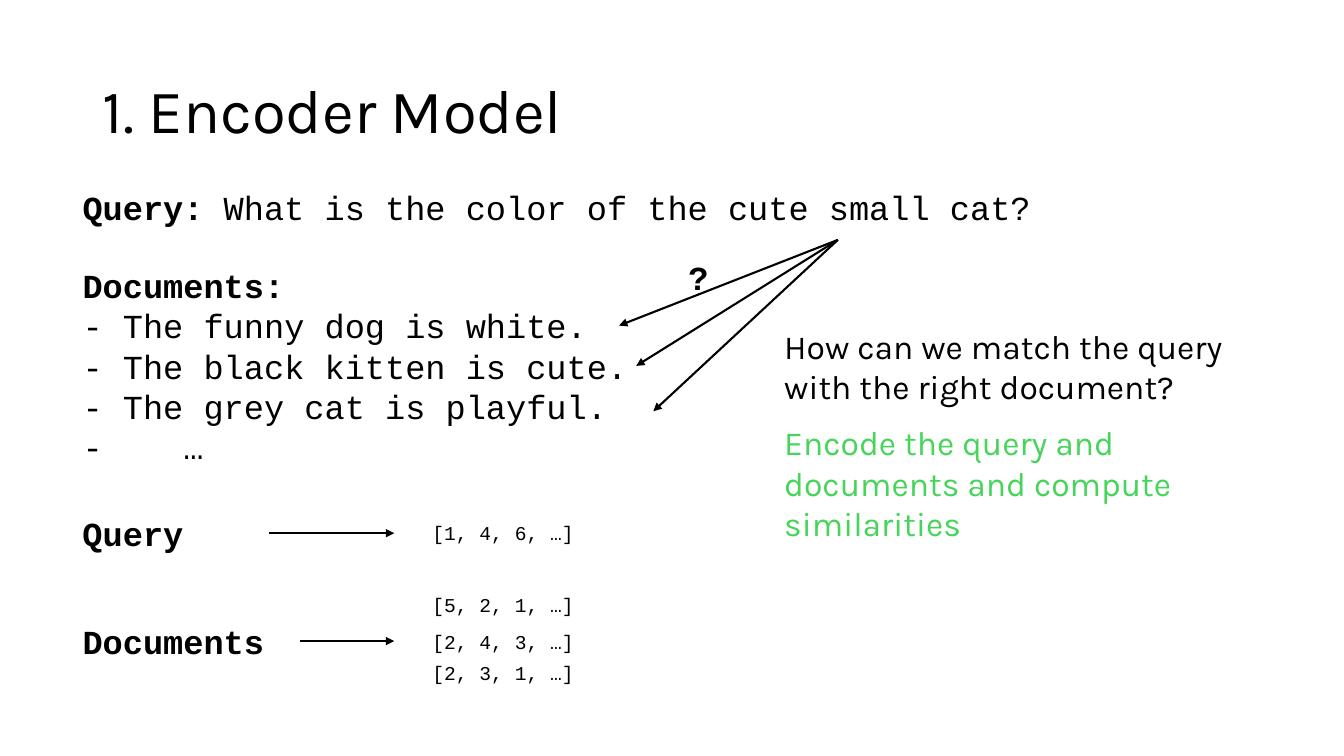
from lxml.etree import SubElement
from pptx import Presentation
from pptx.dml.color import RGBColor
from pptx.enum.shapes import MSO_CONNECTOR
from pptx.enum.text import MSO_ANCHOR, MSO_AUTO_SIZE, PP_ALIGN
from pptx.oxml.ns import qn
from pptx.util import Pt

PX = 9144
BLACK = RGBColor(0x00, 0x00, 0x00)
GREEN = RGBColor(0x47, 0xD4, 0x5A)
MONO = "Courier New"
SANS = "Karla"


class EncoderSlide:
    def __init__(self, deck):
        self.slide = deck.slides.add_slide(deck.slide_layouts[5])

    def place(self, shape, left, top, width, height):
        shape.left, shape.top = left * PX, top * PX
        shape.width, shape.height = width * PX, height * PX

    def style(self, paragraph, size, face, color=BLACK, bold=False):
        font = paragraph.font
        font.size, font.name, font.bold = Pt(size), face, bold
        font.color.rgb = color

    def title(self, text, left, top, width, height):
        heading = self.slide.shapes.title
        self.place(heading, left, top, width, height)
        frame = heading.text_frame
        frame.text = text
        frame.auto_size = MSO_AUTO_SIZE.NONE
        frame.vertical_anchor = MSO_ANCHOR.MIDDLE
        paragraph = frame.paragraphs[0]
        paragraph.alignment = PP_ALIGN.LEFT
        paragraph.line_spacing = 0.9
        self.style(paragraph, 44, SANS)

    def text(self, lines, left, top, width, height, size=24, face=MONO,
             color=BLACK, bold_lines=0):
        box = self.slide.shapes.add_textbox(0, 0, 0, 0)
        self.place(box, left, top, width, height)
        frame = box.text_frame
        frame.word_wrap = True
        frame.text = "\n".join(lines)
        frame.auto_size = MSO_AUTO_SIZE.SHAPE_TO_FIT_TEXT
        for index, paragraph in enumerate(frame.paragraphs):
            self.style(paragraph, size, face, color, index < bold_lines)
        return frame

    def label(self, text, left, top, width):
        return self.text([text], left, top, width, 50, bold_lines=1)

    def vector(self, text, top, width):
        self.text([text], 419, top, width, 34, size=14)

    def arrow(self, start, end):
        ends = [value * PX for value in (*start, *end)]
        line = self.slide.shapes.add_connector(MSO_CONNECTOR.STRAIGHT, *ends)
        line.line.color.rgb = BLACK
        line.line.width = Pt(1.5)
        SubElement(line.line._get_or_add_ln(), qn("a:tailEnd"), type="triangle")
        SubElement(line._element.spPr, qn("a:effectLst"))


def main():
    deck = Presentation()
    deck.slide_width, deck.slide_height = 1333 * PX, 750 * PX
    page = EncoderSlide(deck)

    page.title("1. Encoder Model", 92, 40, 1150, 145)
    query = page.label("Query: ", 72, 181, 1019).paragraphs[0]
    question = query.add_run()
    question.text = "What is the color of the cute small cat?"
    question.font.bold = False
    page.text(["Documents:", "- The funny dog is white.",
               "- The black kitten is cute.", "- The grey cat is playful.",
               "-\t\t…"], 72, 258, 648, 212, bold_lines=1)

    for document_end in ((614, 323), (631, 363), (648, 408)):
        page.arrow((831, 238), document_end)
    page.label("?", 673, 250, 58)

    page.text(["How can we match the query with the right document?"],
              768, 318, 527, 91, face=SANS)
    page.text(["Encode the query and documents and compute similarities"],
              768, 414, 527, 91, face=SANS, color=GREEN)

    page.label("Query", 72, 504, 153)
    page.vector("[1, 4, 6, …]", 512, 216)
    page.label("Documents", 72, 611, 229)
    for embedding, top in (("[5, 2, 1, …]", 583), ("[2, 4, 3, …]", 620),
                           ("[2, 3, 1, …]", 651)):
        page.vector(embedding, top, 170)
    for left, middle in ((267, 529), (298, 636)):
        page.arrow((left, middle), (391, middle))

    deck.save("out.pptx")


if __name__ == "__main__":
    main()
